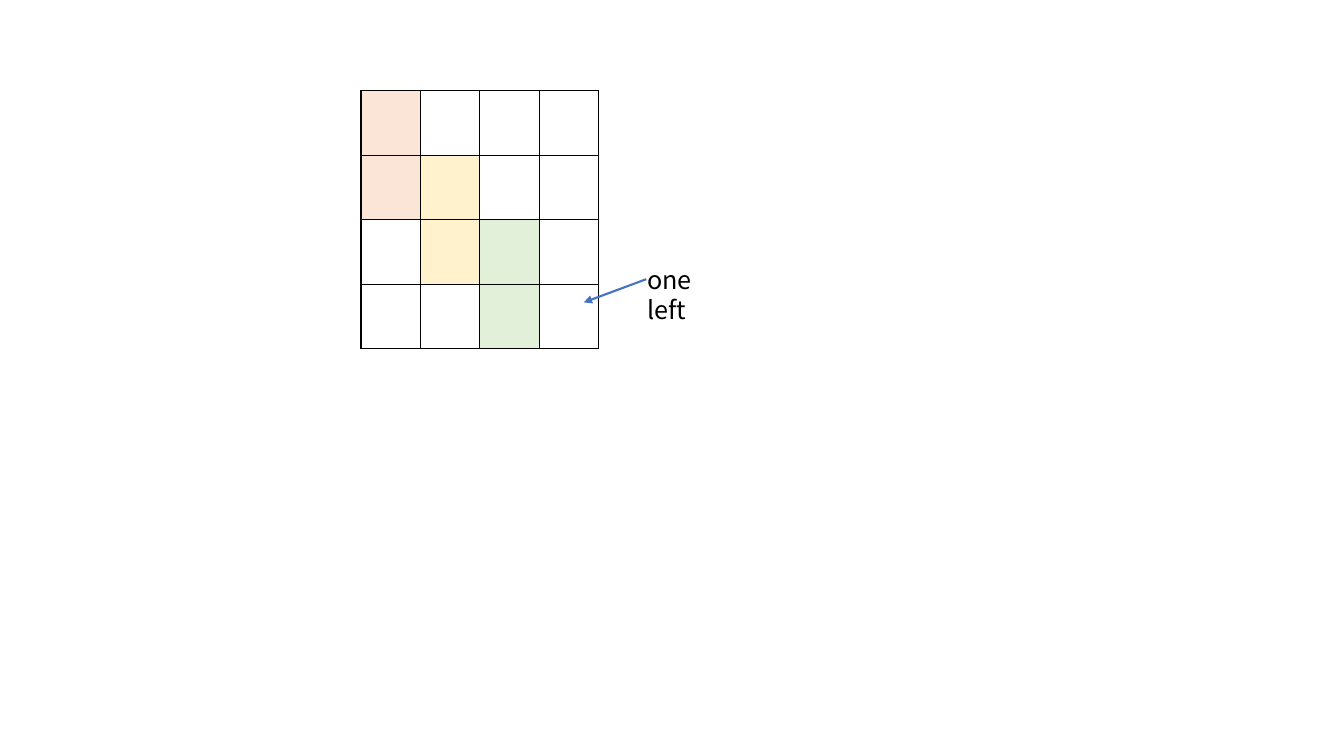
from lxml.etree import SubElement
from pptx import Presentation
from pptx.dml.color import RGBColor
from pptx.enum.shapes import MSO_CONNECTOR
from pptx.enum.text import MSO_AUTO_SIZE
from pptx.oxml.ns import qn
from pptx.util import Inches, Pt

COLORS = {
    "ink": "000000",
    "arrow": "4472C4",
    "peach": "FBE5D6",
    "cream": "FFF2CC",
    "mint": "E2F0D9",
}
DOMINOES = ["peach", "cream", "mint"]
BOARD_SIZE = 4


class Board:
    font = "Noto Sans CJK SC"

    def __init__(self, slide):
        self.slide = slide

    def color(self, name):
        return RGBColor.from_string(COLORS[name])

    def border(self, cell):
        properties = cell._tc.get_or_add_tcPr()
        for position, side in enumerate(("a:lnL", "a:lnR", "a:lnT", "a:lnB")):
            edge = properties.makeelement(qn(side), {"w": str(Pt(1))})
            fill = SubElement(edge, qn("a:solidFill"))
            SubElement(fill, qn("a:srgbClr"), val=COLORS["ink"])
            properties.insert(position, edge)

    def grid(self, left, top, cell_width, cell_height, fills):
        frame = self.slide.shapes.add_table(
            BOARD_SIZE, BOARD_SIZE, Inches(left), Inches(top),
            Inches(cell_width * BOARD_SIZE), Inches(cell_height * BOARD_SIZE))
        squares = frame.table
        squares.first_row = squares.horz_banding = False
        for column in squares.columns:
            column.width = Inches(cell_width)
        for row_index, row in enumerate(squares.rows):
            row.height = Inches(cell_height)
            for column_index, cell in enumerate(row.cells):
                fill = fills.get((row_index, column_index))
                if fill:
                    cell.fill.solid()
                    cell.fill.fore_color.rgb = self.color(fill)
                else:
                    cell.fill.background()
                self.border(cell)

    def arrow(self, start, end):
        pointer = self.slide.shapes.add_connector(
            MSO_CONNECTOR.STRAIGHT, *map(Inches, start + end))
        pointer.line.color.rgb = self.color("arrow")
        pointer.line.width = Pt(1.5)
        SubElement(pointer.line._get_or_add_ln(), qn("a:tailEnd"), type="triangle")
        SubElement(pointer._element.spPr, qn("a:effectLst"))

    def label(self, left, top, width, height, wording):
        caption = self.slide.shapes.add_textbox(*map(Inches, (left, top, width, height)))
        caption.text_frame.word_wrap = True
        caption.text_frame.auto_size = MSO_AUTO_SIZE.SHAPE_TO_FIT_TEXT
        run = caption.text_frame.paragraphs[0].add_run()
        run.text = wording
        run.font.name = self.font
        run.font.size = Pt(18)
        run.font.color.rgb = self.color("ink")


def main():
    deck = Presentation()
    deck.slide_width, deck.slide_height = Inches(13.33), Inches(7.5)
    board = Board(deck.slides.add_slide(deck.slide_layouts[6]))
    fills = {(index + half, index): name
             for index, name in enumerate(DOMINOES) for half in range(2)}
    board.grid(3.58, 0.9, 0.59, 0.64, fills)
    board.arrow((6.41, 2.77), (5.79, 3))
    board.label(6.32, 2.57, 1.08, 0.4, "one left")
    deck.save("out.pptx")


if __name__ == "__main__":
    main()
